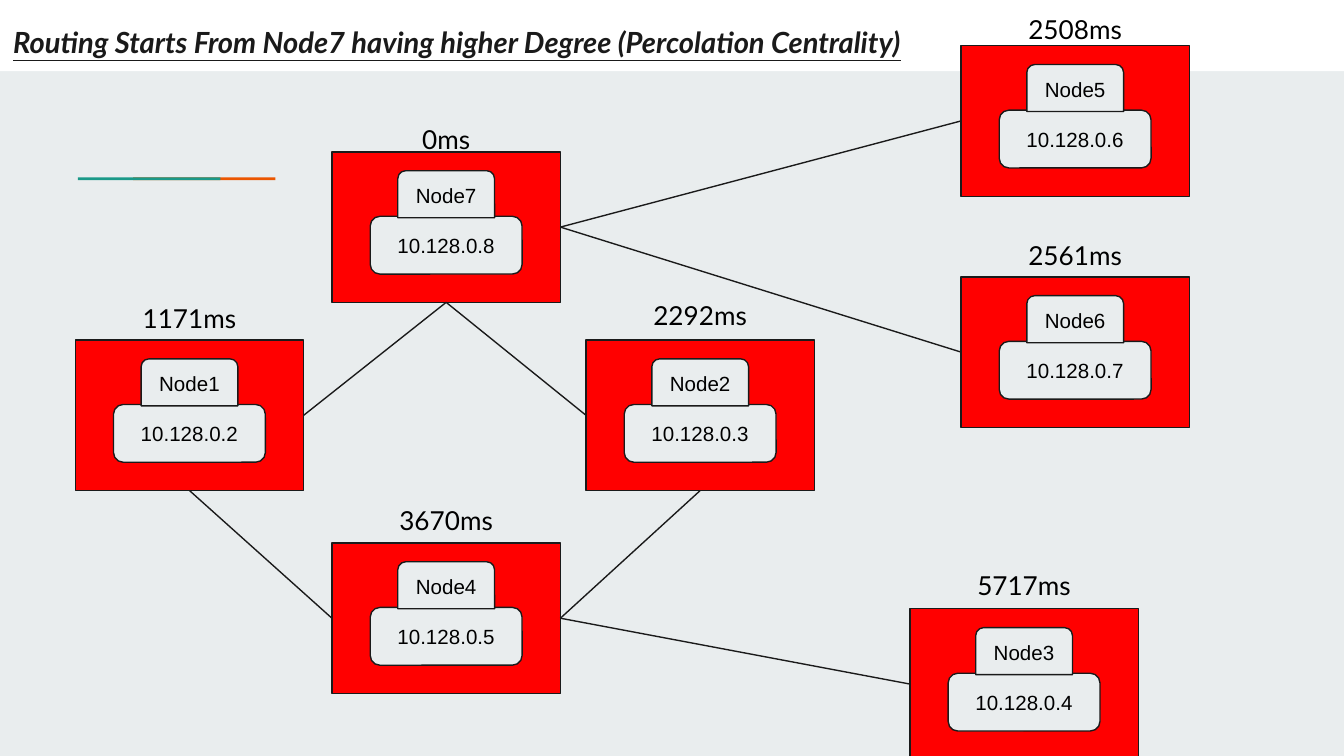
from collections import namedtuple
from dataclasses import dataclass

from lxml import etree
from pptx import Presentation
from pptx import util as u
from pptx.dml.color import RGBColor
from pptx.enum import shapes, text
from pptx.oxml import ns


@dataclass(frozen=True)
class Theme:
    """Colours, fonts and type sizes of the slide."""
    ground: str = "E9EDEE"
    band: str = "FFFFFF"
    node: str = "FF0000"
    ink: str = "1A1A1A"
    black: str = "000000"
    teal: str = "1A9988"
    orange: str = "EB5600"
    heading_font: str = "Lato"
    node_font: str = "Arial"
    title_size: float = 15.6
    time_size: float = 14
    node_size: float = 11
    line_width: float = 0.75


THEME = Theme()
SLIDE_WIDTH = 10
SLIDE_HEIGHT = SLIDE_WIDTH * 9 / 16
Node = namedtuple("Node", "name ip left top time time_top time_width", defaults=[1.06])
NODE_WIDTH, NODE_HEIGHT = 1.7, 1.12
NODES = [
    Node("Node1", "10.128.0.2", 0.56, 2.53, "1171ms", 2.15),
    Node("Node4", "10.128.0.5", 2.47, 4.04, "3670ms", 3.65),
    Node("Node7", "10.128.0.8", 2.47, 1.13, "0ms", 0.82, 0.72),
    Node("Node2", "10.128.0.3", 4.36, 2.53, "2292ms", 2.13),
    Node("Node5", "10.128.0.6", 7.15, 0.34, "2508ms", 0),
    Node("Node6", "10.128.0.7", 7.15, 2.06, "2561ms", 1.68),
    Node("Node3", "10.128.0.4", 6.77, 4.53, "5717ms", 4.14),
]
TOP, LEFT, BOTTOM, RIGHT = range(4)
LINKS = [
    ("Node1", RIGHT, "Node7", BOTTOM),
    ("Node2", LEFT, "Node7", BOTTOM),
    ("Node4", LEFT, "Node1", BOTTOM),
    ("Node4", RIGHT, "Node2", BOTTOM),
    ("Node7", RIGHT, "Node5", LEFT),
    ("Node7", RIGHT, "Node6", LEFT),
    ("Node4", RIGHT, "Node3", LEFT),
]


def colour(value):
    """Turn a hex string into a colour."""
    return RGBColor.from_string(value)


def write(shape, words, *, size, font, ink=THEME.black, align=text.PP_ALIGN.CENTER,
          anchor=text.MSO_ANCHOR.TOP, spacing=None, bold=False, italic=False, underline=False):
    """Set the text of a shape with its format."""
    frame = shape.text_frame
    frame.word_wrap = True
    frame.vertical_anchor = anchor
    frame.margin_left = frame.margin_right = u.Inches(0.1)
    frame.margin_top = frame.margin_bottom = u.Inches(0.1)
    paragraph = frame.paragraphs[0]
    paragraph.alignment = align
    paragraph.line_spacing = spacing
    run = paragraph.add_run()
    run.text = words
    run.font.size = u.Pt(size)
    run.font.name = font
    run.font.color.rgb = colour(ink)
    run.font.bold, run.font.italic, run.font.underline = bold, italic, underline


def add_box(slide, kind, place, fill, outlined=True):
    """Add a flat filled shape, outlined on request."""
    box = slide.shapes.add_shape(kind, *map(u.Inches, place))
    box.shadow.inherit = False
    box.fill.solid()
    box.fill.fore_color.rgb = colour(fill)
    if outlined:
        box.line.color.rgb = colour(THEME.ink)
        box.line.width = u.Pt(THEME.line_width)
    else:
        box.line.fill.background()
    return box


def add_label(slide, words, place, **style):
    """Add a text box."""
    label = slide.shapes.add_textbox(*map(u.Inches, place))
    write(label, words, **style)


def add_node(slide, node):
    """Add a node with its address and name, and return its outer rectangle."""
    kinds = shapes.MSO_SHAPE
    outer = add_box(slide, kinds.RECTANGLE,
                    (node.left, node.top, NODE_WIDTH, NODE_HEIGHT), THEME.node)
    middle = node.left + NODE_WIDTH / 2
    for words, kind, drop, width, height in (
        (node.ip, kinds.ROUNDED_RECTANGLE, 0.48, 1.13, 0.43),
        (node.name, kinds.ROUND_2_SAME_RECTANGLE, 0.14, 0.72, 0.35),
    ):
        part = add_box(slide, kind, (middle - width / 2, node.top + drop, width, height),
                       THEME.ground)
        write(part, words, size=THEME.node_size, font=THEME.node_font,
              anchor=text.MSO_ANCHOR.MIDDLE)
    return outer


def add_link(slide, start, start_side, end, end_side):
    """Join two nodes with a straight line."""
    link = slide.shapes.add_connector(shapes.MSO_CONNECTOR.STRAIGHT, 0, 0, 0, 0)
    link.begin_connect(start, start_side)
    link.end_connect(end, end_side)
    link.line.color.rgb = colour(THEME.ink)
    link.line.width = u.Pt(THEME.line_width)
    etree.SubElement(link._element.spPr, ns.qn("a:effectLst"))


def add_backdrop(slide):
    """Add the background, the title band and the two-colour rule."""
    slide.background.fill.solid()
    slide.background.fill.fore_color.rgb = colour(THEME.ground)
    for place, fill in (
        ((0, 0, SLIDE_WIDTH, 0.53), THEME.band),
        ((0.99, 1.32, 1.06, 0.02), THEME.orange),
        ((0.58, 1.32, 1.06, 0.02), THEME.teal),
    ):
        add_box(slide, shapes.MSO_SHAPE.RECTANGLE, place, fill, outlined=False)


def main():
    """Build the routing slide and save it."""
    deck = Presentation()
    deck.slide_width, deck.slide_height = u.Inches(SLIDE_WIDTH), u.Inches(SLIDE_HEIGHT)
    slide = deck.slides.add_slide(deck.slide_layouts[6])
    add_backdrop(slide)
    hosts = {node.name: add_node(slide, node) for node in NODES}
    for start, start_side, end, end_side in LINKS:
        add_link(slide, hosts[start], start_side, hosts[end], end_side)
    add_label(slide, "Routing Starts From Node7 having higher Degree (Percolation Centrality)",
              (0, 0.04, 8.41, 0.59), size=THEME.title_size, font=THEME.heading_font,
              ink=THEME.ink, align=text.PP_ALIGN.LEFT, spacing=1.15,
              bold=True, italic=True, underline=True)
    for node in NODES:
        time_left = node.left + (NODE_WIDTH - node.time_width) / 2
        add_label(slide, node.time, (time_left, node.time_top, node.time_width, 0.44),
                  size=THEME.time_size, font=THEME.heading_font)
    deck.save("out.pptx")


if __name__ == "__main__":
    main()
